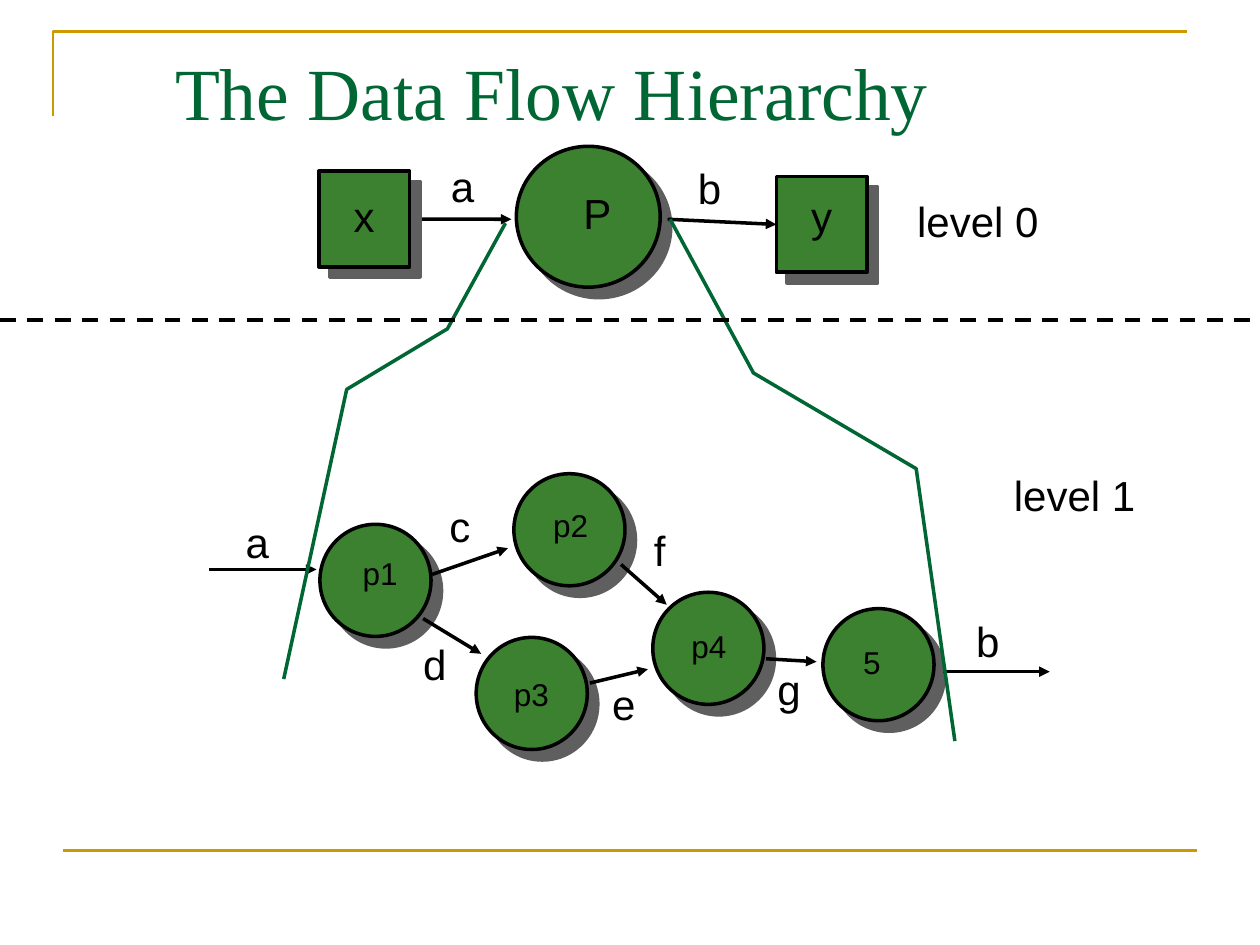
from lxml.etree import SubElement
from pptx import Presentation
from pptx.dml.color import RGBColor
from pptx.enum.dml import MSO_LINE
from pptx.enum.shapes import MSO_CONNECTOR, MSO_SHAPE
from pptx.enum.text import MSO_ANCHOR
from pptx.oxml.ns import qn
from pptx.util import Cm, Pt

HUES = {"ink": "000000", "node": "3B812F", "shade": "5F5F5F",
        "green": "006633", "gold": "CC9900"}

TITLE = ("The Data Flow Hierarchy", 3.28, 1.42, 19.46)
FRAME = [(1.07, 2.34), (1.07, 0.64), (23.93, 0.64)]
RULE = (1.27, 17.15, 24.13, 17.15)
SPLIT = (0, 6.45, 25.4, 6.45)

MAIN = (10.41, 2.95)
ENDS = {"x": (6.43, 3.45), "y": (15.65, 3.56)}
STEPS = [(6.45, 10.57), (10.36, 9.55), (9.6, 12.85), (13.16, 11.94), (16.59, 12.27)]
SIZES = {"main": (2.9, 2.84), "end": (1.83, 1.93), "step": (2.24, 2.26)}

TOP_FLOWS = [(8.26, 4.42, 10.31, 4.42), (13.46, 4.42, 15.65, 4.42)]
LOW_FLOWS = [
    (4.22, 11.48, 6.38, 11.48), (19, 13.54, 21.16, 13.54),
    (8.71, 11.58, 10.24, 11.05), (8.53, 12.47, 9.7, 13.18),
    (11.89, 13.77, 13.06, 13.49), (12.52, 11.38, 13.44, 12.19),
    (15.44, 13.28, 16.46, 13.34),
]
ZOOMS = [
    [(10.19, 4.5), (9.02, 6.63), (6.99, 7.85), (5.72, 13.69)],
    [(13.51, 4.42), (15.19, 7.52), (18.47, 9.45), (19.25, 14.94)],
]
LARGE = [
    ("P", 11.51, 3.66, 1.07), ("a", 8.84, 3.12, 0.97), ("b", 13.82, 3.15, 0.97),
    ("x", 6.88, 3.71, 0.91), ("y", 16.1, 3.71, 0.91),
    ("a", 4.7, 10.29, 0.97), ("b", 19.43, 12.29, 0.97), ("c", 8.81, 9.96, 0.91),
    ("d", 8.28, 12.75, 0.97), ("e", 12.09, 13.56, 0.97), ("f", 12.93, 10.44, 0.74),
    ("g", 15.42, 13.26, 0.97),
    ("level 0", 18.24, 3.81, 2.95), ("level 1", 20.19, 9.35, 2.95),
]
SMALL = [
    ("p1", 7.06, 11.05, 1.22), ("p2", 10.9, 10.08, 1.22), ("p3", 10.11, 13.49, 1.22),
    ("p4", 13.69, 12.52, 1.22), ("5", 17.15, 12.83, 0.86),
]
FONTS = {
    "title": {"size": Pt(42), "name": "Times New Roman"},
    "large": {"size": Pt(24), "name": "Arial"},
    "small": {"size": Pt(18), "name": "Arial"},
}


def tint(hue):
    return RGBColor.from_string(HUES[hue])


def stroke(item, hue, width):
    item.line.color.rgb = tint(hue)
    item.line.width = Pt(width)


def link(slide, ends, hue="ink", width=2, head=False):
    line = slide.shapes.add_connector(MSO_CONNECTOR.STRAIGHT, *map(Cm, ends))
    stroke(line, hue, width)
    if head:
        SubElement(line.line._get_or_add_ln(), qn("a:tailEnd"), type="triangle")
    SubElement(line._element.spPr, qn("a:effectLst"))
    return line


def trace(slide, points, hue, width):
    first, *rest = [(Cm(x), Cm(y)) for x, y in points]
    pen = slide.shapes.build_freeform(*first)
    pen.add_line_segments(rest, close=False)
    shape = pen.convert_to_shape()
    shape.fill.background()
    shape.shadow.inherit = False
    stroke(shape, hue, width)


def node(slide, kind, spot, size):
    shape = slide.shapes.add_shape(kind, *map(Cm, spot + SIZES[size]))
    shape.fill.solid()
    shape.fill.fore_color.rgb = tint("node")
    stroke(shape, "ink", 2)
    shape.shadow.inherit = False
    effect = shape._element.spPr.find(qn("a:effectLst"))
    shade = SubElement(effect, qn("a:outerShdw"), dist=str(Pt(8.5)),
                       dir="2700000", algn="ctr", rotWithShape="0")
    SubElement(shade, qn("a:srgbClr"), val=HUES["shade"])
    return shape


def label(slide, entry, high, style, hue="ink", wrap=False):
    text, *place = entry
    box = slide.shapes.add_textbox(*map(Cm, place + [high]))
    frame = box.text_frame
    frame.word_wrap = wrap
    frame.text = text
    font = frame.paragraphs[0].runs[0].font
    for name, value in FONTS[style].items():
        setattr(font, name, value)
    font.color.rgb = tint(hue)
    return frame


def main():
    deck = Presentation()
    deck.slide_width, deck.slide_height = Cm(25.4), Cm(19.05)
    slide = deck.slides.add_slide(deck.slide_layouts[6])

    trace(slide, FRAME, "gold", 1.5)
    link(slide, RULE, "gold", 1.5)
    title = label(slide, TITLE, 0.84, "title", "green", True)
    title.vertical_anchor = MSO_ANCHOR.MIDDLE

    node(slide, MSO_SHAPE.OVAL, MAIN, "main")
    enter, leave = [link(slide, flow, head=True) for flow in TOP_FLOWS]
    ends = {name: node(slide, MSO_SHAPE.RECTANGLE, spot, "end")
            for name, spot in ENDS.items()}
    enter.begin_connect(ends["x"], 3)
    leave.end_connect(ends["y"], 1)

    for spot in STEPS:
        node(slide, MSO_SHAPE.OVAL, spot, "step")
    for flow in LOW_FLOWS:
        link(slide, flow, head=True)
    for points in ZOOMS:
        trace(slide, points, "green", 2)
    for entry in LARGE:
        label(slide, entry, 1.27, "large")
    for entry in SMALL:
        label(slide, entry, 1.02, "small")

    split = link(slide, SPLIT, width=2.25)
    split.line.dash_style = MSO_LINE.DASH
    deck.save("out.pptx")


if __name__ == "__main__":
    main()
